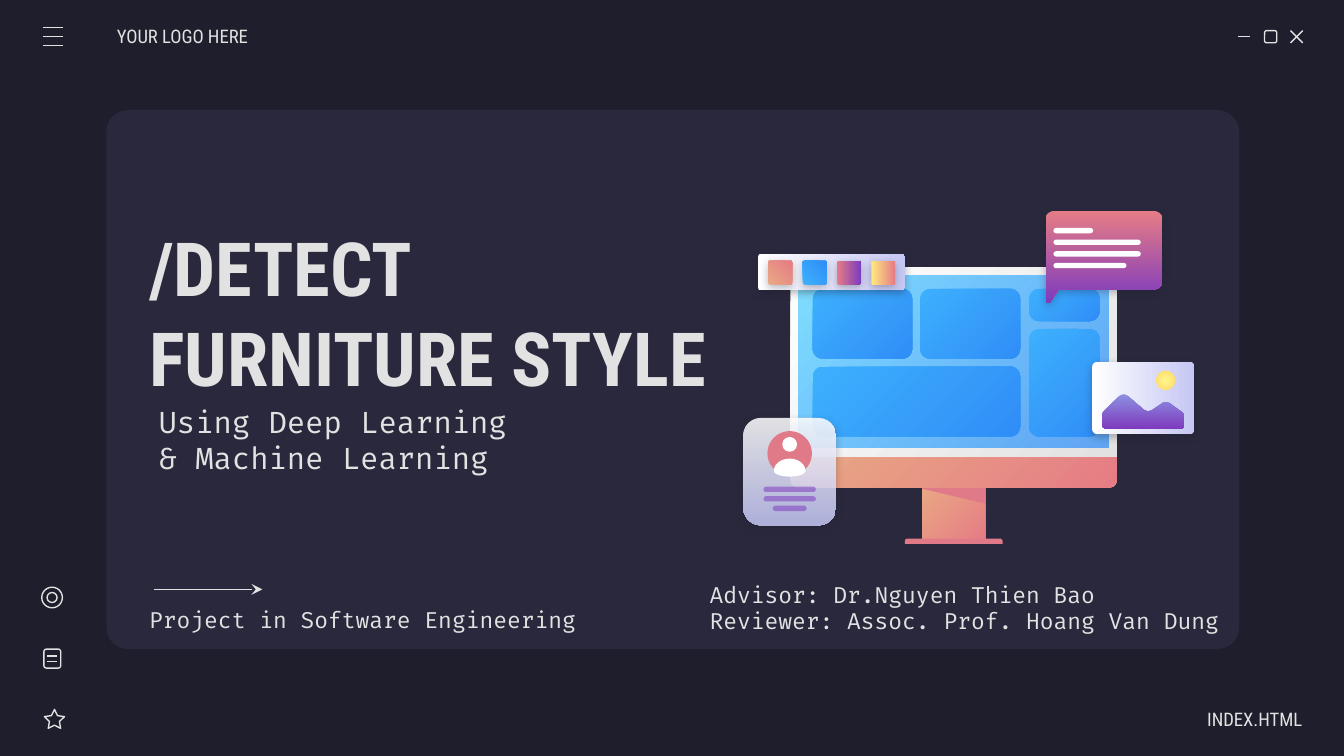
import math
from dataclasses import dataclass

from lxml import etree
from pptx import Presentation
from pptx import util as u
from pptx.dml.color import RGBColor
from pptx.enum import shapes, text
from pptx.oxml import ns

NIGHT = RGBColor(0x1E, 0x1E, 0x2C)
PANEL = RGBColor(0x29, 0x28, 0x3D)
LIGHT = RGBColor(0xE2, 0xE2, 0xE2)
WHITE = RGBColor(0xFF, 0xFF, 0xFF)
ROSE = RGBColor(0xE0, 0x7A, 0x88)
PINK = RGBColor(0xE5, 0x7C, 0x85)
ORANGE = RGBColor(0xE9, 0xA9, 0x84)
PURPLE = RGBColor(0x7E, 0x3B, 0xBE)
VIOLET = RGBColor(0x8D, 0x90, 0xE1)
LAVENDER = RGBColor(0xC5, 0xC7, 0xF4)
SKY = RGBColor(0x80, 0xDF, 0xFF)
SCREEN_BLUE = RGBColor(0x31, 0x8F, 0xFA)
AZURE = RGBColor(0x3D, 0xB0, 0xFD)
BLUE = RGBColor(0x30, 0x8E, 0xF7)
YELLOW = RGBColor(0xFF, 0xEA, 0x7D)
SUN_CORE = RGBColor(0xFF, 0xF6, 0x8E)
SUN_EDGE = RGBColor(0xFF, 0xD9, 0x66)

KIND = shapes.MSO_SHAPE
MONO, SANS = "Fira Code", "Roboto Condensed"


@dataclass
class Box:
    """A region of the slide, in centimetres."""
    left: float
    top: float
    width: float
    height: float

    def inner(self, x, y, width, height):
        return Box(self.left + x, self.top + y, width, height)

    def lengths(self):
        return [u.Cm(n) for n in (self.left, self.top, self.width, self.height)]


# Drawing helpers
def paint(shape, colors=(), angle=0, alphas=(), shadow=False):
    """One colour is solid, two are a gradient turned clockwise, none is an outline."""
    shape.shadow.inherit = False
    if not colors:
        shape.fill.background()
        shape.line.color.rgb = LIGHT
        shape.line.width = u.Pt(0.75)
        return shape
    shape.line.fill.background()
    if len(colors) == 1:
        shape.fill.solid()
        shape.fill.fore_color.rgb = colors[0]
    else:
        shape.fill.gradient()
        shape.fill.gradient_angle = -angle % 360
        for stop, color in zip(shape.fill.gradient_stops, colors):
            stop.color.rgb = color
    for color, alpha in zip(list(shape.element.iter(ns.qn("a:srgbClr"))), alphas):
        etree.SubElement(color, ns.qn("a:alpha"), val=str(alpha * 1000))
    if shadow:
        effects = shape.element.spPr.find(ns.qn("a:effectLst"))
        outer = etree.SubElement(effects, ns.qn("a:outerShdw"), blurRad="57150",
                                 dist="19050", dir="5400000", algn="bl", rotWithShape="0")
        color = etree.SubElement(outer, ns.qn("a:srgbClr"), val=str(NIGHT))
        etree.SubElement(color, ns.qn("a:alpha"), val="30000")
    return shape


def add_preset(slide, kind, box, *colors, radius=None, **style):
    shape = slide.shapes.add_shape(kind, *box.lengths())
    if radius is not None:
        shape.adjustments[0] = radius / min(box.width, box.height)
    return paint(shape, colors, **style)


def add_rounded(slide, box, radius, *colors, **style):
    return add_preset(slide, KIND.ROUNDED_RECTANGLE, box, *colors, radius=radius, **style)


def add_outline(slide, box, points, *colors, **style):
    points = [(u.Cm(box.left + x), u.Cm(box.top + y)) for x, y in points]
    builder = slide.shapes.build_freeform(*points[0], scale=1.0)
    builder.add_line_segments(points[1:], close=True)
    return paint(builder.convert_to_shape(), colors, **style)


def add_line(slide, box, x1, y1, x2, y2):
    ends = (box.left + x1, box.top + y1, box.left + x2, box.top + y2)
    line = slide.shapes.add_connector(shapes.MSO_CONNECTOR.STRAIGHT, *map(u.Cm, ends))
    line.line.color.rgb = LIGHT
    line.line.width = u.Pt(0.75)
    etree.SubElement(line.element.spPr, ns.qn("a:effectLst"))
    return line


def arc(x, y, rx, ry, start, end, steps=12):
    angles = [math.radians(start + (end - start) * i / steps) for i in range(steps + 1)]
    return [(x + rx * math.cos(a), y + ry * math.sin(a)) for a in angles]


def write(shape, lines, size, font, bold=False, align=text.PP_ALIGN.LEFT, left=0.25, right=0.25):
    frame = shape.text_frame
    frame.word_wrap = True
    frame.auto_size = text.MSO_AUTO_SIZE.NONE
    frame.vertical_anchor = text.MSO_ANCHOR.MIDDLE
    frame.margin_left, frame.margin_right = u.Cm(left), u.Cm(right)
    frame.margin_top = frame.margin_bottom = u.Cm(0.25)
    for i, line in enumerate(lines):
        paragraph = frame.add_paragraph() if i else frame.paragraphs[0]
        paragraph.alignment = align
        run = paragraph.add_run()
        run.text = line
        run.font.size, run.font.name, run.font.bold = u.Pt(size), font, bold
        run.font.color.rgb = LIGHT


def add_text(slide, box, lines, size, font, **style):
    write(slide.shapes.add_textbox(*box.lengths()), lines, size, font, **style)


# Regions
def draw_frame(slide, box):
    slide.background.fill.solid()
    slide.background.fill.fore_color.rgb = NIGHT
    add_rounded(slide, box.inner(2.01, 2.08, 21.41, 10.19), 0.41, PANEL)
    add_text(slide, box.inner(2.21, 0.3, 2.97, 0.76), ["YOUR LOGO HERE"], 10, SANS, left=0)
    add_text(slide, box.inner(21.64, 13.21, 2.97, 0.76), ["INDEX.HTML"], 10, SANS,
             align=text.PP_ALIGN.RIGHT, right=0)


def draw_window_controls(slide, box):
    side = box.height
    add_line(slide, box, 0, side / 2, side, side / 2)
    add_rounded(slide, box.inner(0.51, 0, side, side), 0.04)
    add_line(slide, box, box.width - side, 0, box.width, side)
    add_line(slide, box, box.width, 0, box.width - side, side)


def draw_menu(slide, box):
    for i in range(3):
        add_line(slide, box, 0, i * box.height / 2, box.width, i * box.height / 2)


def draw_side_icons(slide, box):
    star = add_preset(slide, KIND.STAR_5_POINT, box.inner(0.05, 2.31, 0.38, 0.36))
    star.adjustments[0] = 0.25
    add_rounded(slide, box.inner(0.04, 1.17, 0.32, 0.36), 0.05)
    for y in (1.3, 1.4):
        add_line(slide, box, 0.1, y, 0.29, y)
    for inset in (0, 0.1):
        side = 0.39 - 2 * inset
        add_preset(slide, KIND.OVAL, box.inner(inset, inset, side, side))


def draw_headings(slide, box):
    title = slide.shapes.title
    slide.shapes.element.append(title.element)  # in front of the panel
    title.left, title.top, title.width, title.height = box.inner(0, 0, 11.35, 4.47).lengths()
    write(title, ["/DETECT FURNITURE STYLE"], 40, SANS, bold=True)
    add_text(slide, box.inner(0.18, 4.06, 7.21, 1.17),
             ["Using Deep Learning & Machine Learning"], 16, MONO)


def draw_credits(slide, box):
    arrow = add_line(slide, box, 0.34, 0.24, 2.39, 0.24)
    outline = arrow.element.spPr.find(ns.qn("a:ln"))
    etree.SubElement(outline, ns.qn("a:tailEnd"), type="stealth")
    add_text(slide, box.inner(0, 0.23, 8.86, 1.17), ["Project in Software Engineering"], 12, MONO)
    add_text(slide, box.inner(10.59, 0, 10.34, 1.17),
             ["Advisor: Dr.Nguyen Thien Bao", "Reviewer: Assoc. Prof. Hoang Van Dung"], 12, MONO)


def draw_monitor(slide, box):
    # Stand, foot and the shade under the chin
    add_preset(slide, KIND.RECTANGLE, box.inner(2.49, 4.11, 1.19, 1.09), ORANGE, PINK, angle=45)
    add_preset(slide, KIND.ROUND_2_SAME_RECTANGLE, box.inner(2.16, 5.13, 1.85, 0.1), ROSE, radius=0.05)
    add_outline(slide, box, [(2.49, 4.11), (2.49, 4.19), (3.68, 4.47), (3.68, 4.11)], ROSE)
    # Chin, bezel and screen
    chin = add_preset(slide, KIND.ROUND_2_SAME_RECTANGLE, box.inner(0, 3.56, box.width, 0.61),
                      ORANGE, PINK, radius=0, angle=45)
    chin.adjustments[1] = 0.25
    add_preset(slide, KIND.ROUND_2_SAME_RECTANGLE, box.inner(0, 0, box.width, 3.58),
               WHITE, LIGHT, radius=0.15, angle=45)
    add_preset(slide, KIND.RECTANGLE, box.inner(0.16, 0.16, box.width - 0.32, 3.25),
               SKY, SCREEN_BLUE, angle=45, alphas=(100, 72))
    # Page tiles
    for tile in ((0.42, 0.41, 1.88, 1.32), (0.42, 1.88, 3.92, 1.32), (2.45, 0.41, 1.89, 1.32),
                 (4.51, 0.41, 1.33, 0.61), (4.51, 1.17, 1.33, 2.03)):
        add_rounded(slide, box.inner(*tile), 0.19, AZURE, BLUE, angle=45)


def draw_speech_bubble(slide, box):
    radius, body = 0.16, 1.48
    right = box.width - radius
    points = (arc(radius, radius, radius, radius, 180, 270)
              + arc(right, radius, radius, radius, 270, 360)
              + arc(right, body - radius, radius, radius, 0, 90)
              + [(0.25, body), (0.08, box.height), (0.03, box.height), (0, box.height - 0.04)])
    add_outline(slide, box, points, PINK, PURPLE, angle=90, shadow=True)
    for i, width in enumerate((0.75, 1.65, 1.65, 1.38)):
        add_rounded(slide, box.inner(0.15, 0.32 + 0.22 * i, width, 0.1), 0.05, WHITE)


def draw_profile_card(slide, box):
    middle = box.width / 2
    add_rounded(slide, box, 0.33, WHITE, LAVENDER, angle=90, alphas=(86, 86), shadow=True)
    add_preset(slide, KIND.OVAL, box.inner(middle - 0.42, 0.25, 0.84, 0.84), ROSE)
    add_preset(slide, KIND.OVAL, box.inner(middle - 0.14, 0.36, 0.28, 0.28), WHITE)
    shoulders = arc(middle, 1.0, 0.3, 0.23, 180, 360) + arc(middle, 1.0, 0.3, 0.11, 0, 180)
    add_outline(slide, box, shoulders, WHITE)
    for i, width in enumerate((0.99, 0.99, 0.64)):
        add_rounded(slide, box.inner(middle - width / 2, 1.3 + 0.18 * i, width, 0.1), 0.05,
                    PURPLE, alphas=(54,))


def draw_photo_card(slide, box):
    add_rounded(slide, box, 0.1, WHITE, LAVENDER, shadow=True)
    hills = [(0.22, 0.94), (0.52, 0.64), (0.6, 0.61), (0.67, 0.64), (0.98, 0.91), (1.05, 0.94),
             (1.13, 0.92), (1.33, 0.78), (1.39, 0.76), (1.46, 0.78), (1.71, 0.96), (1.74, 1.02),
             (1.74, 1.22), (1.69, 1.27), (0.25, 1.27), (0.19, 1.22), (0.19, 0.99)]
    add_outline(slide, box, hills, VIOLET, PURPLE, angle=90)
    sun = add_preset(slide, KIND.OVAL, box.inner(1.21, 0.17, 0.36, 0.36), SUN_CORE, SUN_EDGE)
    # Radial gradient from the middle of the sun
    linear = next(sun.element.iter(ns.qn("a:lin")))
    radial = etree.Element(ns.qn("a:path"), {"path": "circle"})
    etree.SubElement(radial, ns.qn("a:fillToRect"), dict.fromkeys("ltrb", "50000"))
    linear.getparent().replace(linear, radial)


def draw_palette(slide, box):
    add_rounded(slide, box, 0.05, WHITE, LAVENDER, shadow=True)
    swatches = ((ORANGE, PINK, 315), (AZURE, BLUE, 315), (PINK, PURPLE, 0), (YELLOW, PINK, 0))
    for i, (start, end, angle) in enumerate(swatches):
        add_rounded(slide, box.inner(0.19 + 0.65 * i, 0.13, 0.45, 0.45), 0.03,
                    start, end, angle=angle, shadow=True)


def main():
    presentation = Presentation()
    presentation.slide_width, presentation.slide_height = u.Cm(25.4), u.Cm(14.29)
    slide = presentation.slides.add_slide(presentation.slide_layouts[5])  # title only
    draw_frame(slide, Box(0, 0, 25.4, 14.29))
    draw_window_controls(slide, Box(23.39, 0.58, 1.23, 0.23))
    draw_headings(slide, Box(2.57, 3.66, 11.35, 5.23))
    draw_monitor(slide, Box(14.94, 5.05, 6.17, 5.23))
    draw_speech_bubble(slide, Box(19.76, 3.99, 2.21, 1.73))
    draw_menu(slide, Box(0.82, 0.52, 0.38, 0.34))
    draw_profile_card(slide, Box(14.05, 7.9, 1.75, 2.03))
    draw_photo_card(slide, Box(20.64, 6.84, 1.93, 1.37))
    draw_palette(slide, Box(14.33, 4.8, 2.77, 0.69))
    draw_side_icons(slide, Box(0.79, 11.1, 0.43, 2.67))
    draw_credits(slide, Box(2.57, 10.9, 20.93, 1.4))
    presentation.save("out.pptx")


if __name__ == "__main__":
    main()
